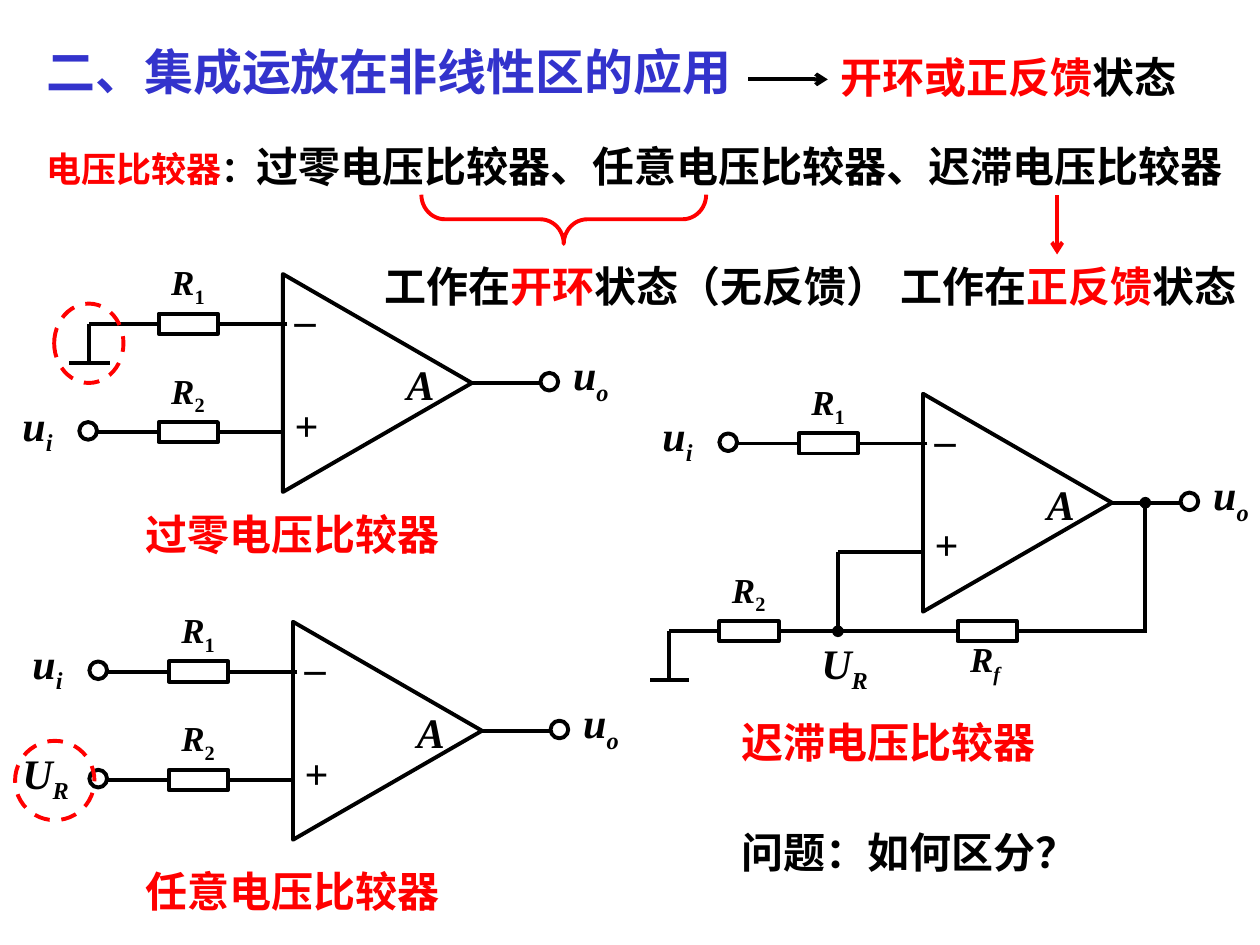
from lxml import etree
from pptx import Presentation
from pptx import util as u
from pptx.dml.color import RGBColor
from pptx.enum import dml, shapes
from pptx.oxml.ns import qn

INK = {"black": "000000", "red": "FF0000", "blue": "3333CC", "white": "FFFFFF"}
FONT = "Times New Roman"
WIDE, HIGH = 10, 7.5
BIG, SMALL = 24, 20
RES_W, RES_H, DOT = 0.47, 0.16, 0.14
STEM, NEG, POS = 1.53, -0.47, 0.39

LINES = [
    ((0.27, 0.28, 6.14, 0.57), [("二、集成运放在非线性区的应用", 28, "blue")]),
    ((6.57, 0.36, 3.23, 0.5), [("开环或正反馈", BIG, "red"), ("状态", BIG, "black")]),
    ((0.27, 1.07, 9.73, 0.5), [
        ("电压比较器", SMALL, "red"), ("：", SMALL, "black"),
        ("过零电压比较器、任意电压比较器、迟滞电压比较器", BIG, "black")]),
    ((2.95, 2.02, 4.41, 0.5), [
        ("工作在", BIG, "black"), ("开环", BIG, "red"), ("状态（无反馈）", BIG, "black")]),
    ((7.05, 2.02, 3.47, 0.5), [
        ("工作在", BIG, "black"), ("正反馈", BIG, "red"), ("状态", BIG, "black")]),
    ((5.79, 6.51, 3.07, 0.5), [("问题：如何区分？", BIG, "black")]),
]
ARROWS = [((5.94, 0.63, 6.57, 0.63), "black"), ((8.39, 1.55, 8.39, 2.02), "red")]
RINGS = [(0.43, 2.41, 0.55, 0.63), (0.12, 5.88, 0.63, 0.63)]
BRACE = (4.28, 0.61, 0.39, 2.26)

AMPS = [
    {"at": (7.32, 3.99), "name": "迟滞电压比较器", "cap": (5.79, 5.64, 4.17, 0.5),
     "wires": [(7.32, 4.38, 6.65, 4.38), (9.1, 5.01, 6.18, 5.01),
               (5.71, 5.01, 5.31, 5.01), (5.31, 5.01, 5.31, 5.4),
               (5.16, 5.4, 5.47, 5.4)],
     "joints": [(9.09, 5.01, 9.09, 3.99), (6.65, 4.38, 6.65, 5.01)],
     "parts": [("2", 5.71, 5.01, -0.47), ("f", 7.6, 5.01, 0.08)],
     "ends": [NEG], "inputs": [("u", "i", 5.16, 3.2), ("U", "R", 6.42, 5.01)]},
    {"at": (2.24, 3.04), "name": "过零电压比较器", "cap": (1.06, 3.99, 2.91, 0.5),
     "wires": [(2.24, 3.43, 0.71, 3.43), (0.71, 2.57, 0.71, 2.88),
               (0.55, 2.88, 0.87, 2.88)],
     "joints": [], "parts": [("2", 1.26, 3.43, -0.47)],
     "ends": [POS], "inputs": [("u", "i", 0.08, 3.12)]},
    {"at": (2.32, 5.8), "name": "任意电压比较器", "cap": (1.06, 6.82, 2.91, 0.5),
     "wires": [(2.32, 6.19, 0.79, 6.19)],
     "joints": [], "parts": [("2", 1.34, 6.19, -0.47)],
     "ends": [NEG, POS], "inputs": [("u", "i", 0.16, 5.01), ("U", "R", 0.08, 5.88)]},
]


def tint(name):
    return RGBColor.from_string(INK[name])


def inch(nums):
    return [u.Inches(n) for n in nums]


def write(host, area, runs):
    box = host.add_textbox(*inch(area))
    frame = box.text_frame
    frame.word_wrap = True
    for item in runs:
        words, size, ink, *marks = item
        run = frame.paragraphs[0].add_run()
        run.text = words
        font = run.font
        font.name, font.size, font.bold = FONT, u.Pt(size), True
        font.color.rgb = tint(ink)
        font.italic = "tilt" in marks
        if "sub" in marks:
            font._element.set("baseline", "-25000")


def symbol(host, area, name, sub, size):
    marks = ["sub"] if sub.isdigit() else ["sub", "tilt"]
    write(host, area, [(name, size, "black", "tilt"), (sub, size, "black", *marks)])


def wire(host, ends, ink="black", tip=None):
    line = host.add_connector(shapes.MSO_CONNECTOR.STRAIGHT, *inch(ends))
    line.line.color.rgb = tint(ink)
    line.line.width = u.Pt(2.25)
    if tip:
        etree.SubElement(line.line._get_or_add_ln(), qn("a:tailEnd"), type=tip)
    etree.SubElement(line._element.spPr, qn("a:effectLst"))


def form(host, kind, area, ink="black", fill="white"):
    item = host.add_shape(kind, *inch(area))
    item.shadow.inherit = False
    if fill:
        item.fill.solid()
        item.fill.fore_color.rgb = tint(fill)
    else:
        item.fill.background()
    item.line.color.rgb = tint(ink)
    item.line.width = u.Pt(2.25)
    return item


def part(host, sub, left, mid, drop):
    top = mid - RES_H / 2
    form(host, shapes.MSO_SHAPE.RECTANGLE, (left, top, RES_W, RES_H))
    symbol(host, (left, top + drop, 1.02, 0.48), "R", sub, SMALL)


def end(host, left, mid):
    form(host, shapes.MSO_SHAPE.OVAL, (left, mid - 0.08, DOT, DOT))


def draw(host, amp):
    x, y = amp["at"]
    body = form(host, shapes.MSO_SHAPE.ISOSCELES_TRIANGLE, (x - 0.11, y - 0.75, 1.73, 1.5))
    body.rotation = 90
    write(host, (x + 0.89, y - 0.24, 1, 0.5), [("A", BIG, "black", "tilt")])
    for sign, drop in (("_", -0.87), ("+", 0.08)):
        write(host, (x, y + drop, 0.63, 0.5), [(sign, BIG, "black")])
    wire(host, (x + 0.04, y + NEG, x - STEM, y + NEG))
    wire(host, (x + 1.5, y, x + 2.05, y))
    for ends in amp["wires"]:
        wire(host, ends)
    for ends in amp["joints"]:
        wire(host, ends, tip="oval")
    for item in [("1", x - 0.98, y + NEG, -0.47)] + amp["parts"]:
        part(host, *item)
    end(host, x + 2.05, y)
    for row in amp["ends"]:
        end(host, x - STEM - 0.08, y + row)
    symbol(host, (x + 2.21, y - 0.32, 0.91, 0.56), "u", "o", BIG)
    for name, sub, left, top in amp["inputs"]:
        symbol(host, (left, top, 1.34, 0.56), name, sub, BIG)
    write(host, amp["cap"], [(amp["name"], BIG, "red")])


def main():
    deck = Presentation()
    deck.slide_width, deck.slide_height = inch((WIDE, HIGH))
    page = deck.slides.add_slide(deck.slide_layouts[6]).shapes
    for amp in AMPS:
        draw(page.add_group_shape().shapes, amp)
    for area, runs in LINES:
        write(page, area, runs)
    for ends, ink in ARROWS:
        wire(page, ends, ink, "arrow")
    brace = form(page, shapes.MSO_SHAPE.LEFT_BRACE, BRACE, "red", None)
    brace.rotation = 270
    brace.adjustments[0] = 0.48
    for area in RINGS:
        ring = form(page, shapes.MSO_SHAPE.OVAL, area, "red", None)
        ring.line.dash_style = dml.MSO_LINE.DASH
    deck.save("out.pptx")


if __name__ == "__main__":
    main()
